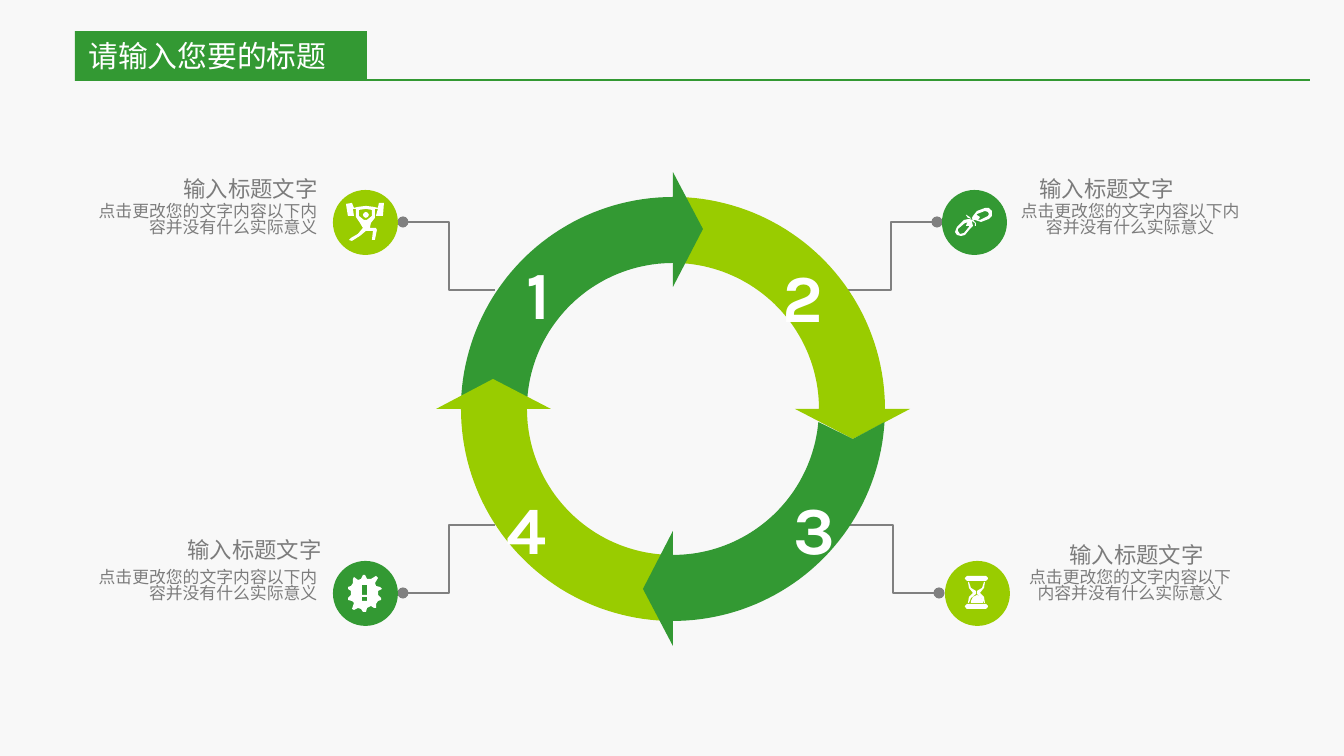
import math

import pptx
import pptx.dml.color
import pptx.enum.shapes
import pptx.enum.text
import pptx.oxml
import pptx.oxml.ns
import pptx.util

SCALE = 914400 / 134.4
COLORS = {
    "background": "F8F8F8",
    "green": "339933",
    "lime": "99CC00",
    "gray": "808080",
    "text": "7C7C7C",
    "white": "FFFFFF",
}
CJK = "Noto Sans CJK SC"
ALIGN = pptx.enum.text.PP_ALIGN
CENTER_X, CENTER_Y = 673, 409
OUTER, INNER, MIDDLE = 212, 146, 180
HEAD_OUTER, HEAD_INNER, HEAD_LENGTH, NOTCH = 237, 122, 30, 13
HEADING = "输入标题文字"
DESCRIPTION = "点击更改您的文字内容以下内容并没有什么实际意义"

LIFTER = [
    [(384, 203), (383, 216), (376, 216), (378, 209), (375, 209), (375, 218), (371, 223), (370, 228),
     (376, 228), (377, 230), (375, 240), (372, 240), (373, 231), (366, 231), (360, 236), (352, 241),
     (349, 240), (351, 238), (358, 234), (363, 228), (360, 223), (356, 217), (356, 209), (353, 209),
     (354, 216), (348, 216), (346, 204), (352, 203), (354, 208), (358, 207), (366, 206), (374, 207),
     (378, 208), (379, 203)],
    [(372, 210), (366, 209), (359, 210), (359, 216), (364, 220), (367, 220), (372, 216)],
    [(366, 212), (368, 213), (369, 215), (368, 217), (366, 218), (364, 217), (363, 215), (364, 213)],
]
CHAIN = [
    [(973, 220), (969, 219), (964, 220), (957, 227), (955, 232), (957, 235), (961, 236), (965, 235),
     (970, 229), (973, 226), (972, 222)],
    [(969, 227), (964, 233), (960, 234), (958, 231), (958, 229), (965, 223), (969, 222), (967, 223),
     (966, 226), (969, 226), (970, 224)],
    [(992, 211), (989, 208), (985, 208), (977, 211), (973, 216), (972, 218), (973, 220), (975, 220),
     (981, 222), (989, 219), (992, 216)],
    [(988, 216), (980, 220), (977, 219), (979, 219), (980, 217), (977, 215), (976, 216), (977, 214),
     (985, 211), (988, 212), (989, 214)],
    [(973, 220), (976, 223), (976, 226), (975, 226), (975, 223), (973, 222)],
    [(968, 218), (966, 215), (967, 215), (968, 216), (970, 217), (971, 219), (969, 218)],
]
GLASS = [(984, 582), (985, 582), (984, 588), (980, 593), (984, 597), (985, 603), (984, 603),
         (982, 598), (977, 594), (977, 591), (982, 588)]
HOURGLASS = [
    GLASS,
    [(1953 - x, y) for x, y in GLASS],
    [(971, 603), (971, 601), (973, 597), (977, 595), (981, 597), (983, 601), (983, 603)],
    *[[(967, y), (986, y), (988, y + 2), (988, y + 3), (986, y + 5), (967, y + 5), (965, y + 3),
       (965, y + 2)] for y in (576, 604)],
]
BURST = [
    [(381, 598), (378, 595), (378, 591), (382, 589), (380, 587), (376, 586), (375, 583), (378, 578),
     (376, 576), (371, 579), (367, 579), (365, 575), (363, 575), (361, 579), (358, 580), (354, 577),
     (353, 579), (353, 583), (351, 586), (348, 587), (348, 589), (351, 591), (351, 595), (348, 598),
     (348, 600), (352, 601), (354, 603), (352, 609), (354, 610), (358, 608), (361, 609), (363, 612),
     (366, 612), (367, 608), (371, 606), (374, 608), (376, 608), (376, 604), (378, 601), (381, 600)],
    *[[(362, top), (367, top), (367, bottom), (362, bottom)]
      for top, bottom in ((585, 595), (597, 601))],
]

ITEMS = [
    ((845, 290), (937, 222), (974, 222), "green", CHAIN,
     (1025, 173, ALIGN.CENTER), (1020, 204, 220, ALIGN.CENTER)),
    ((847, 525), (939, 593), (977, 593), "lime", HOURGLASS,
     (1054, 539, ALIGN.RIGHT), (1021, 570, 218, ALIGN.CENTER)),
    ((495, 290), (403, 222), (365, 222), "lime", LIFTER,
     (168, 173, ALIGN.RIGHT), (89, 204, 228, ALIGN.RIGHT)),
    ((495, 525), (403, 593), (365, 593), "green", BURST,
     (172, 534, ALIGN.RIGHT), (89, 570, 228, ALIGN.RIGHT)),
]
ARROWS = [(1, "lime", False), (0, "green", False), (3, "lime", False), (2, "green", True)]
NUMBERS = [("1", 508, 246), ("2", 769, 249), ("3", 780, 481), ("4", 493, 481)]


def px(value):
    """Turn pixels into EMU."""
    return pptx.util.Emu(round(value * SCALE))


def color(name):
    """Return the named colour."""
    return pptx.dml.color.RGBColor.from_string(COLORS[name])


def paint(shape, fill):
    """Give a shape a plain fill without outline or shadow."""
    shape.shadow.inherit = False
    shape.fill.solid()
    shape.fill.fore_color.rgb = color(fill)
    shape.line.fill.background()


def write(shape, text, size, font, fill, align, bold=False, spacing=None):
    """Write one formatted run into a shape."""
    paragraph = shape.text_frame.paragraphs[0]
    paragraph.alignment = align
    paragraph.line_spacing = spacing
    run = paragraph.add_run()
    run.text = text
    run.font.size = pptx.util.Pt(size)
    run.font.name = font
    run.font.bold = bold
    run.font.color.rgb = color(fill)
    east_asian = pptx.oxml.parse_xml(f'<a:ea {pptx.oxml.ns.nsdecls("a")} typeface="{font}"/>')
    run.font._element.find(pptx.oxml.ns.qn("a:latin")).addnext(east_asian)


def add_text(slide, box, text, size, font, fill, align, wrap=False, **options):
    """Add a text box, without insets when it wraps."""
    shape = slide.shapes.add_textbox(*map(px, box))
    frame = shape.text_frame
    frame.word_wrap = wrap
    if wrap:
        frame.margin_left = frame.margin_right = frame.margin_top = frame.margin_bottom = 0
    write(shape, text, size, font, fill, align, **options)


def add_line(slide, kind, start, end, stroke, width, oval=False):
    """Add a connector, with a round end if asked."""
    connector = slide.shapes.add_connector(kind, *map(px, (*start, *end)))
    connector.line.color.rgb = color(stroke)
    connector.line.width = pptx.util.Pt(width)
    namespace = pptx.oxml.ns.nsdecls("a")
    if oval:
        connector.line._ln.append(pptx.oxml.parse_xml(f'<a:tailEnd {namespace} type="oval"/>'))
    connector._element.spPr.append(pptx.oxml.parse_xml(f"<a:effectLst {namespace}/>"))


def add_outline(slide, contours, fill):
    """Add a filled freeform made of closed contours."""
    contours = [[(px(x), px(y)) for x, y in contour] for contour in contours]
    builder = slide.shapes.build_freeform(*contours[0][0], scale=1.0)
    for index, contour in enumerate(contours):
        if index:
            builder.move_to(*contour[0])
        builder.add_line_segments(contour[1:], close=True)
    paint(builder.convert_to_shape(), fill)


def ring_point(radius, degrees, forward=0):
    """Locate a point on the ring, moved forward along the tangent."""
    angle = math.radians(degrees)
    return (CENTER_X + radius * math.cos(angle) - forward * math.sin(angle),
            CENTER_Y + radius * math.sin(angle) + forward * math.cos(angle))


def ring_arc(radius, first, last, steps=45):
    """List points along an arc of the ring."""
    return [ring_point(radius, first + (last - first) * step / steps) for step in range(steps + 1)]


def add_ring_arrow(slide, quarter, fill, notched):
    """Add a quarter of the ring ending in an arrowhead."""
    start = 180 + 90 * quarter
    end = start + 90
    cut = NOTCH if notched else 0
    outer_start, inner_start = (start + math.degrees(math.asin(cut / radius))
                                for radius in (OUTER, INNER))
    head = [ring_point(HEAD_OUTER, end), ring_point(MIDDLE, end, HEAD_LENGTH),
            ring_point(HEAD_INNER, end)]
    tail = [ring_point(MIDDLE, start, HEAD_LENGTH)] if notched else []
    contour = ring_arc(OUTER, outer_start, end) + head + ring_arc(INNER, end, inner_start) + tail
    add_outline(slide, [contour], fill)


def add_icon(slide, center, fill, contours):
    """Add a white icon on a coloured disc."""
    x, y = center
    disc = slide.shapes.add_shape(pptx.enum.shapes.MSO_SHAPE.OVAL,
                                  *map(px, (x - 32, y - 32, 65, 65)))
    paint(disc, fill)
    add_outline(slide, contours, "white")


def add_title(slide, text):
    """Fill the title placeholder and underline it."""
    title = slide.shapes.title
    title.left, title.top, title.width, title.height = map(px, (75, 31, 292, 50))
    title.fill.solid()
    title.fill.fore_color.rgb = color("green")
    title.text_frame.auto_size = pptx.enum.text.MSO_AUTO_SIZE.NONE
    title.text_frame.vertical_anchor = pptx.enum.text.MSO_ANCHOR.MIDDLE
    write(title, text, 16, CJK, "white", ALIGN.LEFT)
    add_line(slide, pptx.enum.shapes.MSO_CONNECTOR.STRAIGHT, (1310, 80), (75, 80), "green", 1.5)


def main():
    """Build and save the slide."""
    presentation = pptx.Presentation()
    presentation.slide_width, presentation.slide_height = px(1344), px(756)
    slide = presentation.slides.add_slide(presentation.slide_layouts[5])
    slide.background.fill.solid()
    slide.background.fill.fore_color.rgb = color("background")
    add_title(slide, "请输入您要的标题")
    for start, end, center, fill, icon, heading, description in ITEMS:
        add_line(slide, pptx.enum.shapes.MSO_CONNECTOR.ELBOW, start, end, "gray", 1, oval=True)
        x, y, align = heading
        add_text(slide, (x, y, 163, 41), HEADING, 12, CJK, "text", align, spacing=0.82)
        x, y, width, align = description
        add_text(slide, (x, y, width, 41), DESCRIPTION, 9, CJK, "text", align,
                 wrap=True, spacing=0.82)
        add_icon(slide, center, fill, icon)
    for quarter, fill, notched in ARROWS:
        add_ring_arrow(slide, quarter, fill, notched)
    for number, x, y in NUMBERS:
        add_text(slide, (x, y, 61, 95), number, 36, "Karla", "white", ALIGN.CENTER, bold=True)
    presentation.save("out.pptx")


if __name__ == "__main__":
    main()
